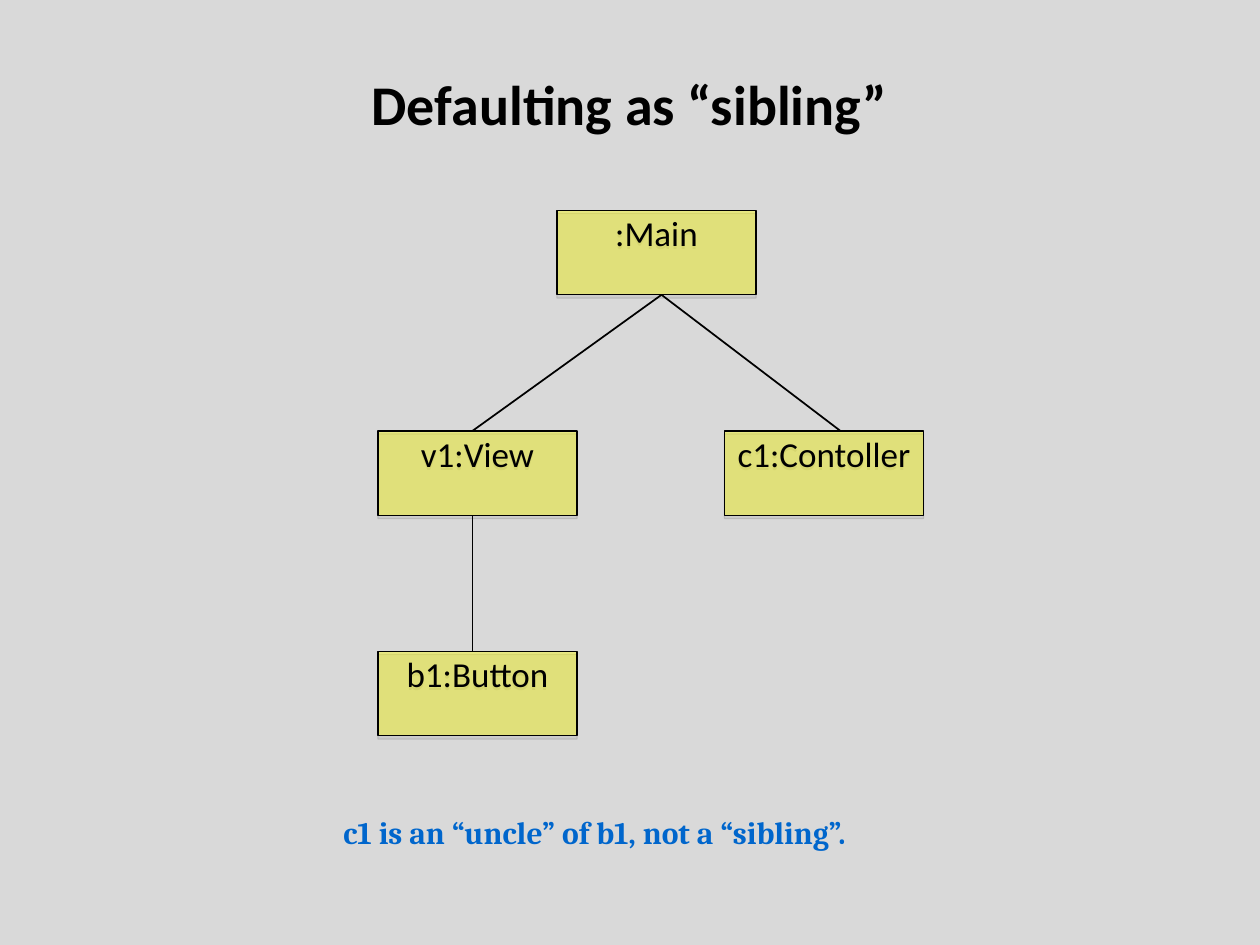
"""Builds a slide with an object tree showing the sibling default."""
from lxml import etree
from pptx import Presentation
from pptx.dml.color import RGBColor
from pptx.enum.shapes import MSO_CONNECTOR, MSO_SHAPE
from pptx.enum.text import MSO_ANCHOR, PP_ALIGN
from pptx.oxml import parse_xml
from pptx.oxml.ns import nsdecls, qn
from pptx.util import Inches, Pt

STRAIGHT = MSO_CONNECTOR.STRAIGHT
RECTANGLE = MSO_SHAPE.RECTANGLE
TOP = MSO_ANCHOR.TOP
CENTER = PP_ALIGN.CENTER

BLACK = RGBColor(0x00, 0x00, 0x00)
BLUE = RGBColor(0x00, 0x66, 0xCC)
YELLOW = RGBColor(0xFF, 0xFF, 0x00)
GRAY = RGBColor(0xD9, 0xD9, 0xD9)
SHADOW_GRAY = RGBColor(0x80, 0x80, 0x80)

TITLE = "Defaulting as “sibling”"
NOTE = "c1 is an “uncle” of b1, not a “sibling”."
OBJECTS = [
    ("b1:Button", 3, 2),
    (":Main", 4.42, 0),
    ("v1:View", 3, 1),
    ("c1:Contoller", 5.75, 1),
]
LINKS = [(5.25, 0, 3.75), (5.25, 0, 6.67), (3.75, 1, 3.75)]

BOX_WIDTH, BOX_HEIGHT = 1.58, 0.67
FIRST_ROW, ROW_STEP = 1.67, 1.75

TITLE_FONT = {"name": "Calibri", "size": Pt(32), "bold": True}
BOX_FONT = {"name": "Calibri", "size": Pt(20), "bold": False}
NOTE_FONT = {"name": "Cambria", "size": Pt(18), "bold": True}


def row_top(row):
    return FIRST_ROW + row * ROW_STEP


def write(shape, text, font, color, margins, wrap=True, line_spacing=1.0):
    frame = shape.text_frame
    frame.word_wrap = wrap
    frame.vertical_anchor = TOP
    for side, margin in zip(("left", "top", "right", "bottom"), margins):
        setattr(frame, f"margin_{side}", Inches(margin))
    paragraph = frame.paragraphs[0]
    paragraph.alignment = CENTER
    paragraph.line_spacing = line_spacing
    run = paragraph.add_run()
    run.text = text
    for name, value in font.items():
        setattr(run.font, name, value)
    run.font.color.rgb = color


def add_box(slide, text, left, row):
    box = slide.shapes.add_shape(
        RECTANGLE, Inches(left), Inches(row_top(row)), Inches(BOX_WIDTH), Inches(BOX_HEIGHT))
    box.fill.solid()
    box.fill.fore_color.rgb = YELLOW
    fill_color = box.fill._xPr.find(qn("a:solidFill"))[0]
    etree.SubElement(fill_color, qn("a:alpha"), val="40000")
    box.line.color.rgb = BLACK
    box.line.width = Pt(0.74)
    box.shadow.inherit = False
    effects = box._element.spPr.find(qn("a:effectLst"))
    effects.append(parse_xml(
        f'<a:outerShdw {nsdecls("a")} blurRad="0" dist="{Pt(1.8)}" dir="5400000" '
        f'rotWithShape="0"><a:srgbClr val="{SHADOW_GRAY}"><a:alpha val="35000"/>'
        '</a:srgbClr></a:outerShdw>'))
    write(box, text, BOX_FONT, BLACK, (0.1, 0.01, 0.1, 0.05))


def add_link(slide, start, row, end):
    link = slide.shapes.add_connector(
        STRAIGHT, Inches(start), Inches(row_top(row) + BOX_HEIGHT),
        Inches(end), Inches(row_top(row + 1)))
    link.line.color.rgb = BLACK
    link.line.width = Pt(0.99)
    etree.SubElement(link._element.spPr, qn("a:effectLst"))


presentation = Presentation()
presentation.slide_width = Inches(10)
presentation.slide_height = Inches(7.5)
slide = presentation.slides.add_slide(presentation.slide_layouts[6])
slide.background.fill.solid()
slide.background.fill.fore_color.rgb = GRAY

title = slide.shapes.add_textbox(Inches(0.5), Inches(0.5), Inches(9), Inches(1.25))
write(title, TITLE, TITLE_FONT, BLACK, (0.1, 0.05, 0.1, 0.05))
for item in OBJECTS:
    add_box(slide, *item)
for item in LINKS:
    add_link(slide, *item)
note = slide.shapes.add_textbox(Inches(2.45), Inches(6.5), Inches(4.54), Inches(0.25))
write(note, NOTE, NOTE_FONT, BLUE, (0, 0, 0, 0), wrap=False, line_spacing=0.83)

presentation.save("out.pptx")
